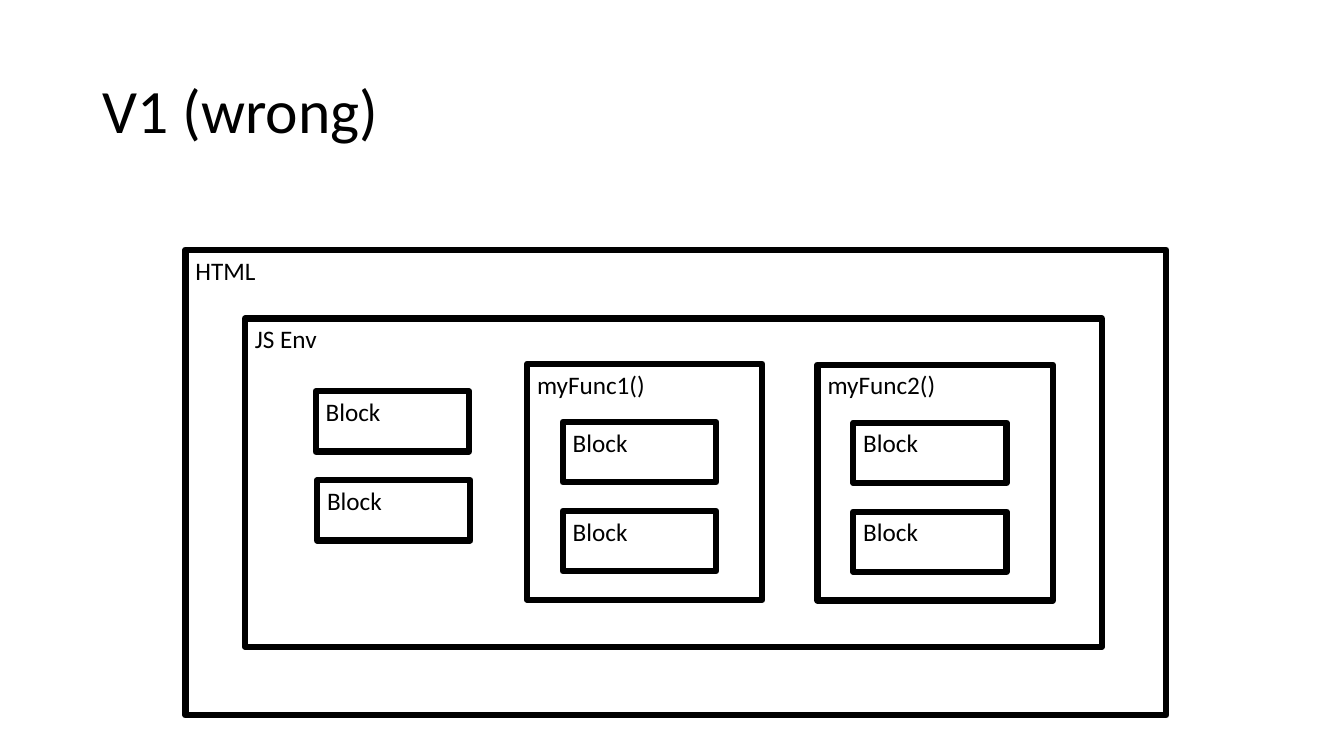
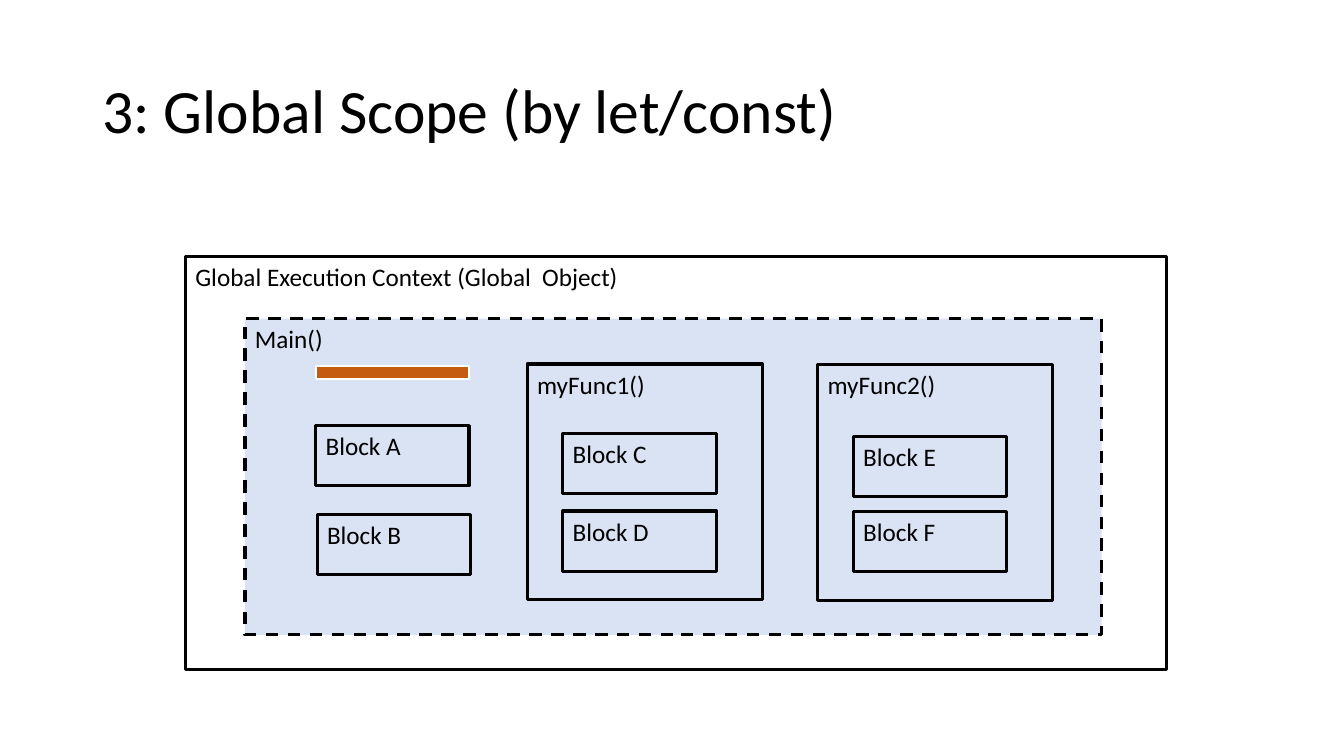
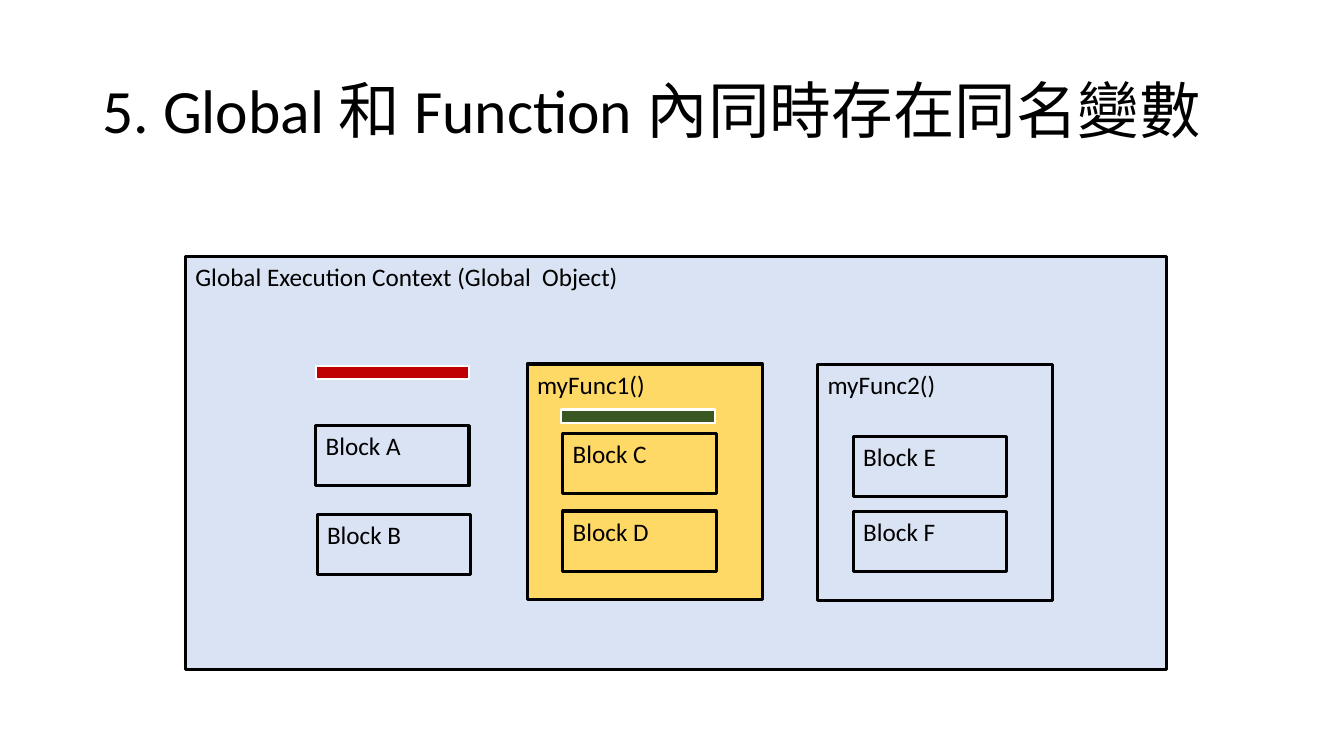
"""Build three slides that show how execution contexts, functions and blocks nest."""
import dataclasses

import pptx
import pptx.dml.color
import pptx.enum.dml
import pptx.enum.shapes
import pptx.enum.text
import pptx.util

Pt = pptx.util.Pt


@dataclasses.dataclass(frozen=True)
class Theme:
    font: str = "Calibri"
    title_size: float = 44
    label_size: float = 18
    thick: float = 4.5
    thin: float = 2.25
    marker_edge: float = 1.5
    ink: str = "000000"
    paper: str = "FFFFFF"
    scope: str = "DAE3F3"
    active: str = "FFD966"
    let_variable: str = "C55A11"
    global_variable: str = "C00000"
    local_variable: str = "385723"


def rgb(color):
    return pptx.dml.color.RGBColor.from_string(color)


class ScopeDeck:
    FUNCTION_PLACES = ((376.5, 260), (584, 260.5))
    FUNCTION_SIZE = (168, 168.5)
    BLOCK_SIZE = (109.5, 43)
    BLOCK_INDENT = 25.5
    LOWER_BLOCK_DROP = 105
    GLOBAL_X = 225.5
    GLOBAL_BLOCK_STEP = 63.5
    MARKER_SIZE = (109.5, 9.5)

    def __init__(self, theme):
        self.theme = theme
        self.deck = pptx.Presentation()
        self.deck.slide_width, self.deck.slide_height = Pt(960), Pt(540)
        self.slide = None
        self.edge = theme.thin

    def start(self, heading, edge):
        self.slide = self.deck.slides.add_slide(self.deck.slide_layouts[5])
        self.edge = edge
        title = self.slide.shapes.title
        title.left, title.top, title.width, title.height = map(Pt, (66, 28.75, 828, 104.5))
        frame = title.text_frame
        frame.text = heading
        frame.word_wrap = True
        frame.auto_size = pptx.enum.text.MSO_AUTO_SIZE.NONE
        frame.vertical_anchor = pptx.enum.text.MSO_ANCHOR.MIDDLE
        self.style_text(frame.paragraphs[0], self.theme.title_size)
        frame.paragraphs[0].line_spacing = 0.9

    def style_text(self, paragraph, size):
        paragraph.alignment = pptx.enum.text.PP_ALIGN.LEFT
        paragraph.font.name = self.theme.font
        paragraph.font.size = Pt(size)
        paragraph.font.color.rgb = rgb(self.theme.ink)

    def rectangle(self, parent, place, size, fill, line, weight):
        box = parent.shapes.add_shape(
            pptx.enum.shapes.MSO_SHAPE.RECTANGLE, *map(Pt, (*place, *size)))
        box.shadow.inherit = False
        box.fill.solid()
        box.fill.fore_color.rgb = rgb(fill)
        box.line.color.rgb = rgb(line)
        box.line.width = Pt(weight)
        return box

    def scope(self, label, place, size, fill, parent=None, dashed=False):
        box = self.rectangle(
            parent or self.slide, place, size, fill, self.theme.ink, self.edge)
        if dashed:
            box.line.dash_style = pptx.enum.dml.MSO_LINE.DASH
        frame = box.text_frame
        frame.text = label
        frame.word_wrap = True
        frame.vertical_anchor = pptx.enum.text.MSO_ANCHOR.TOP
        self.style_text(frame.paragraphs[0], self.theme.label_size)

    def function(self, number, blocks, fill, upper_drop):
        x, y = self.FUNCTION_PLACES[number - 1]
        group = self.slide.shapes.add_group_shape()
        self.scope(f"myFunc{number}()", (x, y), self.FUNCTION_SIZE, fill, group)
        for label, drop in zip(blocks, (upper_drop, self.LOWER_BLOCK_DROP)):
            self.scope(label, (x + self.BLOCK_INDENT, y + drop), self.BLOCK_SIZE, fill, group)

    def global_blocks(self, blocks, top, fill):
        for row, label in enumerate(blocks):
            place = (self.GLOBAL_X + row, top + row * self.GLOBAL_BLOCK_STEP)
            self.scope(label, place, self.BLOCK_SIZE, fill)

    def global_context(self, fill):
        self.scope("Global Execution Context (Global  Object)", (132.5, 183), (700.5, 295), fill)

    def lettered_scopes(self, first_fill, fill):
        self.function(1, ("Block C", "Block D"), first_fill, 49.5)
        self.function(2, ("Block E", "Block F"), fill, 51)
        self.global_blocks(("Block A", "Block B"), 304, fill)

    def variable(self, place, color):
        self.rectangle(self.slide, place, self.MARKER_SIZE, color,
                       self.theme.paper, self.theme.marker_edge)


def main():
    theme = Theme()
    deck = ScopeDeck(theme)
    global_variable_place = (deck.GLOBAL_X, 261.5)

    deck.start("V1 (wrong)", theme.thick)
    deck.scope("HTML", (132.5, 178.5), (700.5, 332.5), theme.paper)
    deck.scope("JS Env", (175, 227.5), (612, 234.5), theme.paper)
    for number in (1, 2):
        deck.function(number, ("Block", "Block"), theme.paper, 41.5)
    deck.global_blocks(("Block", "Block"), 279.5, theme.paper)

    deck.start("3: Global Scope (by let/const)", theme.thin)
    deck.global_context(theme.paper)
    deck.scope("Main()", (175, 227.5), (612, 226), theme.scope, dashed=True)
    deck.lettered_scopes(theme.scope, theme.scope)
    deck.variable(global_variable_place, theme.let_variable)

    deck.start("5. Global 和 Function 內同時存在同名變數", theme.thin)
    deck.global_context(theme.scope)
    deck.lettered_scopes(theme.active, theme.scope)
    deck.variable((401, 292.5), theme.local_variable)
    deck.variable(global_variable_place, theme.global_variable)

    deck.deck.save("out.pptx")


main()
